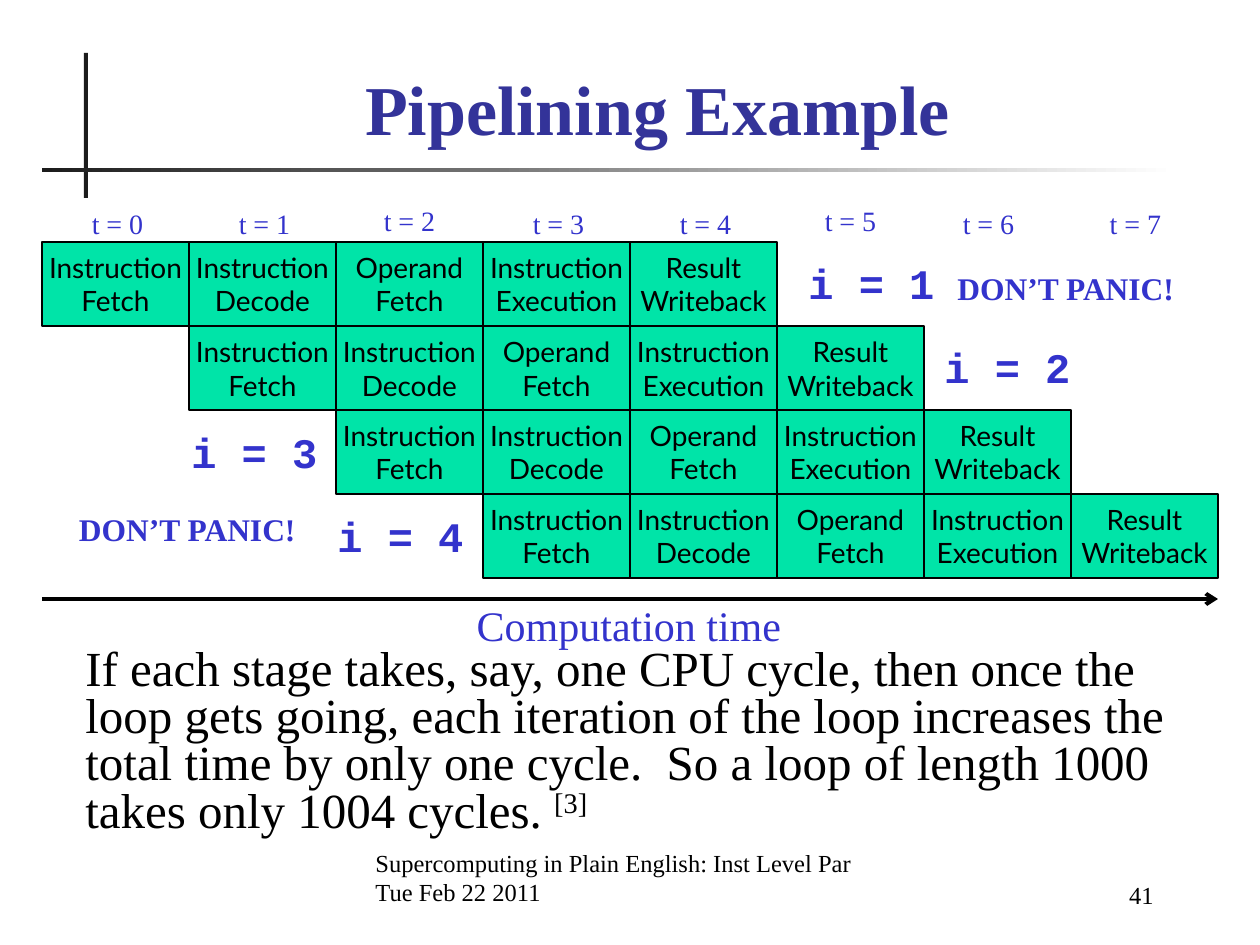
import pptx
import pptx.util
import pptx.dml.color
import pptx.enum.shapes
import pptx.enum.text
import pptx.oxml
import pptx.oxml.ns

COLORS = {"ink": "000000", "rule": "1C1C1C", "paper": "FFFFFF",
          "title": "333399", "label": "3333CC", "stage": "00E4A8"}
SERIF, MONO, SANS = "Times New Roman", "Courier New", "Lato"
ALIGN = pptx.enum.text.PP_ALIGN
ANCHOR = pptx.enum.text.MSO_ANCHOR
RECT = pptx.enum.shapes.MSO_SHAPE.RECTANGLE

STYLES = {
    "title": {"name": SERIF, "size": 40, "bold": True, "color": "title"},
    "footer": {"name": SERIF, "size": 14, "color": "ink"},
    "stage": {"name": SANS, "size": 16, "color": "ink"},
    "iteration": {"name": MONO, "size": 24, "bold": True, "color": "label"},
    "tick": {"name": SERIF, "size": 16, "color": "label"},
    "panic": {"name": SERIF, "size": 18, "bold": True, "color": "label"},
    "axis": {"name": SERIF, "size": 24, "color": "label"},
    "body": {"name": SERIF, "size": 28, "color": "ink"},
}

TITLE = "Pipelining Example"
STAGES = ["Instruction\nFetch", "Instruction\nDecode", "Operand\nFetch",
          "Instruction\nExecution", "Result\nWriteback"]
ITERATION_SPOTS = [(796, 251), (932, 335), (179, 420), (325, 504)]
TICK_COUNT = 8
TICK_NUDGES = {2: (-2, -3), 5: (-2, -3), 6: (-11, 0), 7: (-11, 0)}
PANIC = "DON’T PANIC!"
PANIC_SPOTS = [(64, 504, ALIGN.RIGHT), (945, 263, ALIGN.LEFT)]
AXIS = "Computation time"
BODY = ("If each stage takes, say, one CPU cycle, then once the loop gets going, "
        "each iteration of the loop increases the total time by only one cycle.  "
        "So a loop of length 1000 takes only 1004 cycles. ")
CITATION = "[3]"
FOOTER = "Supercomputing in Plain English: Inst Level Par\nTue Feb 22 2011"
PAGE = "41"

GRID_LEFT, GRID_TOP, CELL_W, CELL_H = 42, 242, 147, 84


def px(n):
    return pptx.util.Emu(round(n * 914400 / 126))


def rgb(key):
    return pptx.dml.color.RGBColor.from_string(COLORS[key])


def write(sp, text, style, align=ALIGN.LEFT, anchor=ANCHOR.TOP, wrap=False):
    tf = sp.text_frame
    tf.text = text
    tf.word_wrap = wrap
    tf.vertical_anchor = anchor
    for p in tf.paragraphs:
        p.alignment = align
        for r in p.runs:
            format_run(r, style)
    return tf


def format_run(r, style):
    for key, value in STYLES[style].items():
        if key == "color":
            r.font.color.rgb = rgb(value)
        else:
            setattr(r.font, key, pptx.util.Pt(value) if key == "size" else value)


def add_text(s, box, text, style, **options):
    return write(s.shapes.add_textbox(*map(px, box)), text, style, **options)


def add_rect(s, box):
    sp = s.shapes.add_shape(RECT, *map(px, box))
    sp.shadow.inherit = False
    sp.fill.solid()
    return sp


def add_frame(s):
    sp = add_rect(s, (84, 53, 4, 145))
    sp.fill.fore_color.rgb = rgb("rule")
    sp.line.fill.background()
    sp = add_rect(s, (42, 168, 1134, 4))
    sp.line.fill.background()
    sp.fill.gradient()
    sp.fill.gradient_angle = 0
    for stop, key, position in zip(sp.fill.gradient_stops, ("rule", "paper"), (0, 1)):
        stop.color.rgb = rgb(key)
        stop.position = position


def add_pipeline(s):
    for row, (x, y) in enumerate(ITERATION_SPOTS):
        for col, stage in enumerate(STAGES, start=row):
            sp = add_rect(s, (GRID_LEFT + col * CELL_W, GRID_TOP + row * CELL_H,
                              CELL_W, CELL_H))
            sp.fill.fore_color.rgb = rgb("stage")
            sp.line.color.rgb = rgb("ink")
            sp.line.width = pptx.util.Pt(0.75)
            write(sp, stage, "stage", align=ALIGN.CENTER, anchor=ANCHOR.MIDDLE)
        add_text(s, (x, y, 151, 63), f"i = {row + 1}", "iteration")


def add_time_axis(s):
    for t in range(TICK_COUNT):
        dx, dy = TICK_NUDGES.get(t, (0, 0))
        add_text(s, (79 + t * CELL_W + dx, 200 + dy, 77, 47), f"t = {t}", "tick",
                 align=ALIGN.CENTER)
    right = GRID_LEFT + TICK_COUNT * CELL_W
    cx = s.shapes.add_connector(pptx.enum.shapes.MSO_CONNECTOR.STRAIGHT,
                                *map(px, (GRID_LEFT, 599, right, 599)))
    cx.line.color.rgb = rgb("ink")
    cx.line.width = pptx.util.Pt(2.25)
    ns = pptx.oxml.ns.nsdecls("a")
    cx.line._get_or_add_ln().append(
        pptx.oxml.parse_xml(f'<a:tailEnd {ns} type="arrow"/>'))
    cx._element.spPr.append(pptx.oxml.parse_xml(f"<a:effectLst {ns}/>"))
    add_text(s, (459, 593, 340, 63), AXIS, "axis", align=ALIGN.CENTER)


def add_body(s):
    p = add_text(s, (73, 643, 1113, 200), BODY, "body", wrap=True).paragraphs[0]
    p.line_spacing = 0.8
    r = p.add_run()
    r.text = CITATION
    format_run(r, "body")
    r._r.get_or_add_rPr().set("baseline", "30000")


def main():
    prs = pptx.Presentation()
    prs.slide_width, prs.slide_height = px(1260), px(945)
    s = prs.slides.add_slide(prs.slide_layouts[5])
    add_frame(s)
    title = s.shapes.title
    title.left, title.top, title.width, title.height = map(px, (105, 63, 1105, 93))
    write(title, TITLE, "title", align=ALIGN.CENTER, anchor=ANCHOR.BOTTOM, wrap=True)
    add_pipeline(s)
    add_time_axis(s)
    add_body(s)
    for x, y, align in PANIC_SPOTS:
        add_text(s, (x, y, 244, 50), PANIC, "panic", align=align)
    add_text(s, (363, 850, 551, 63), FOOTER, "footer", anchor=ANCHOR.BOTTOM, wrap=True)
    add_text(s, (987, 853, 179, 63), PAGE, "footer", align=ALIGN.RIGHT,
             anchor=ANCHOR.BOTTOM, wrap=True)
    prs.save("out.pptx")


if __name__ == "__main__":
    main()
